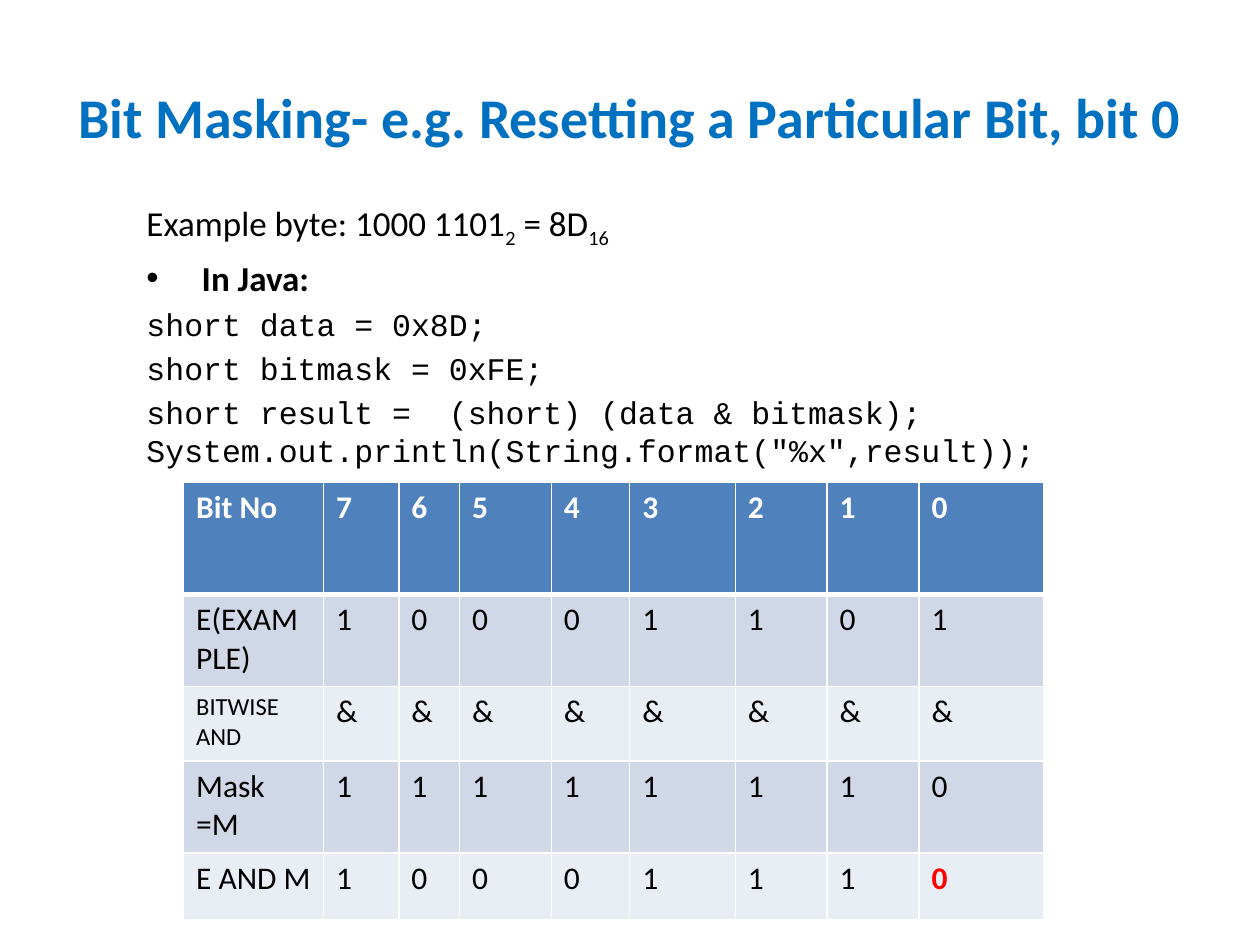
from typing import NamedTuple

from lxml.etree import Element, SubElement
from pptx import Presentation
from pptx.dml.color import RGBColor
from pptx.enum.text import MSO_ANCHOR, MSO_AUTO_SIZE, PP_ALIGN
from pptx.oxml.ns import qn
from pptx.util import Pt

BLACK = RGBColor(0x00, 0x00, 0x00)
WHITE = RGBColor(0xFF, 0xFF, 0xFF)
RED = RGBColor(0xFF, 0x00, 0x00)
TITLE_BLUE = RGBColor(0x00, 0x70, 0xC0)
HEADER_BLUE = RGBColor(0x4F, 0x81, 0xBD)
BANDS = (RGBColor(0xD0, 0xD8, 0xE8), RGBColor(0xE9, 0xED, 0xF4))

TITLE_SIZE, TEXT_SIZE, CODE_SIZE, CELL_SIZE = 32, 20, 18, 18
SPACE_RATIO = 0.2  # space before a paragraph, as a share of its text size
HEADER_RULE = 3


class Box(NamedTuple):
    left: float
    top: float
    width: float
    height: float


class Span(NamedTuple):
    text: str
    size: int = TEXT_SIZE
    font: str = "Calibri"
    color: RGBColor = BLACK
    bold: bool = False
    subscript: bool = False


class Line(NamedTuple):
    spans: list[Span]
    bullet: bool = False


class BitRow(NamedTuple):
    label: str
    bits: str
    height: float
    label_size: int = CELL_SIZE


def code_line(*rows: str) -> Line:
    """One paragraph of code, with a line break between its rows."""
    return Line([Span(row, CODE_SIZE, "Courier New") for row in rows])


TITLE_BOX = Box(36, 21.6, 648, 90)
BODY_BOX = Box(76.5, 111.6, 765.4, 406.8)
TABLE_LEFT, TABLE_TOP = 104.9, 275.8

PROSE_LINES = [
    Line([Span("Example byte: 1000 1101"), Span("2", subscript=True),
          Span(" = 8D"), Span("16", subscript=True)]),
    Line([Span(" "), Span("In Java:", bold=True)], bullet=True),
]
CODE_LINES = [
    code_line("short data = 0x8D;"),
    code_line("short bitmask = 0xFE;"),
    code_line("short result =  (short) (data & bitmask);",
              'System.out.println(String.format("%x",result));'),
]

COLUMN_WIDTHS = [80, 43, 34.7, 52.5, 44.8, 60.3, 52.5, 52.5, 71.3]
HEADER_ROW = BitRow("Bit No", "76543210", 64)
DATA_ROWS = [
    BitRow("E(EXAMPLE)", "10001101", 52.4),
    BitRow("BITWISE AND", "&" * 8, 42.6, label_size=14),
    BitRow("Mask =M", "11111110", 52.6),
]
RESULT_ROW = BitRow("E AND M", "10001110", 38.4)


def place(shape, box: Box) -> None:
    shape.left, shape.top = Pt(box.left), Pt(box.top)
    shape.width, shape.height = Pt(box.width), Pt(box.height)
    shape.text_frame.auto_size = MSO_AUTO_SIZE.NONE


def add_span(para, span: Span) -> None:
    run = para.add_run()
    run.text = span.text
    run.font.size = Pt(span.size)
    run.font.name = span.font
    run.font.bold = span.bold
    run.font.color.rgb = span.color
    if span.subscript:
        run.font._element.set("baseline", "-25000")


def remove_bullet(para) -> None:
    properties = para._p.get_or_add_pPr()
    properties.set("marL", "0")
    properties.set("indent", "0")
    SubElement(properties, qn("a:buNone"))


def add_line(para, line: Line) -> None:
    para.space_before = Pt(SPACE_RATIO * line.spans[0].size)
    if not line.bullet:
        remove_bullet(para)
    for index, span in enumerate(line.spans):
        if index and line in CODE_LINES:
            para.add_line_break()
        add_span(para, span)


def fill_title(title) -> None:
    place(title, TITLE_BOX)
    title.text_frame.vertical_anchor = MSO_ANCHOR.MIDDLE
    para = title.text_frame.paragraphs[0]
    para.alignment = PP_ALIGN.CENTER
    add_span(para, Span("Bit Masking- e.g. Resetting a Particular Bit, bit 0",
                        TITLE_SIZE, color=TITLE_BLUE, bold=True))


def fill_body(body) -> None:
    place(body, BODY_BOX)
    frame = body.text_frame
    for index, line in enumerate(PROSE_LINES + CODE_LINES):
        add_line(frame.add_paragraph() if index else frame.paragraphs[0], line)


def underline_cell(cell) -> None:
    """Draw the white rule below a header cell."""
    border = Element(qn("a:lnB"), w=str(Pt(HEADER_RULE)))
    fill = SubElement(border, qn("a:solidFill"))
    SubElement(fill, qn("a:srgbClr"), val=str(WHITE))
    cell._tc.get_or_add_tcPr().insert(0, border)


def fill_row(cells, row: BitRow, background: RGBColor,
             color: RGBColor = BLACK, bold: bool = False) -> None:
    label = Span(row.label, row.label_size, color=color, bold=bold)
    bits = [Span(bit, CELL_SIZE, color=color, bold=bold) for bit in row.bits]
    if row is RESULT_ROW:  # the bit that the mask resets stands out
        bits[-1] = bits[-1]._replace(color=RED, bold=True)
    for cell, span in zip(cells, [label, *bits]):
        cell.fill.solid()
        cell.fill.fore_color.rgb = background
        add_span(cell.text_frame.paragraphs[0], span)


def add_bit_table(page) -> None:
    rows = [HEADER_ROW, *DATA_ROWS, RESULT_ROW]
    table = page.shapes.add_table(
        len(rows), len(COLUMN_WIDTHS), Pt(TABLE_LEFT), Pt(TABLE_TOP),
        Pt(sum(COLUMN_WIDTHS)), Pt(sum(row.height for row in rows))).table
    for column, width in zip(table.columns, COLUMN_WIDTHS):
        column.width = Pt(width)
    for table_row, row in zip(table.rows, rows):
        table_row.height = Pt(row.height)

    # Header, then bands of alternating colour
    header, *bands = table.rows
    fill_row(header.cells, HEADER_ROW, HEADER_BLUE, WHITE, bold=True)
    for cell in header.cells:
        underline_cell(cell)
    for index, (band, row) in enumerate(zip(bands, rows[1:])):
        fill_row(band.cells, row, BANDS[index % len(BANDS)])


def main() -> None:
    deck = Presentation()
    deck.slide_width, deck.slide_height = Pt(720), Pt(540)
    page = deck.slides.add_slide(deck.slide_layouts[1])
    fill_title(page.shapes.title)
    fill_body(page.placeholders[1])
    add_bit_table(page)
    deck.save("out.pptx")


if __name__ == "__main__":
    main()
